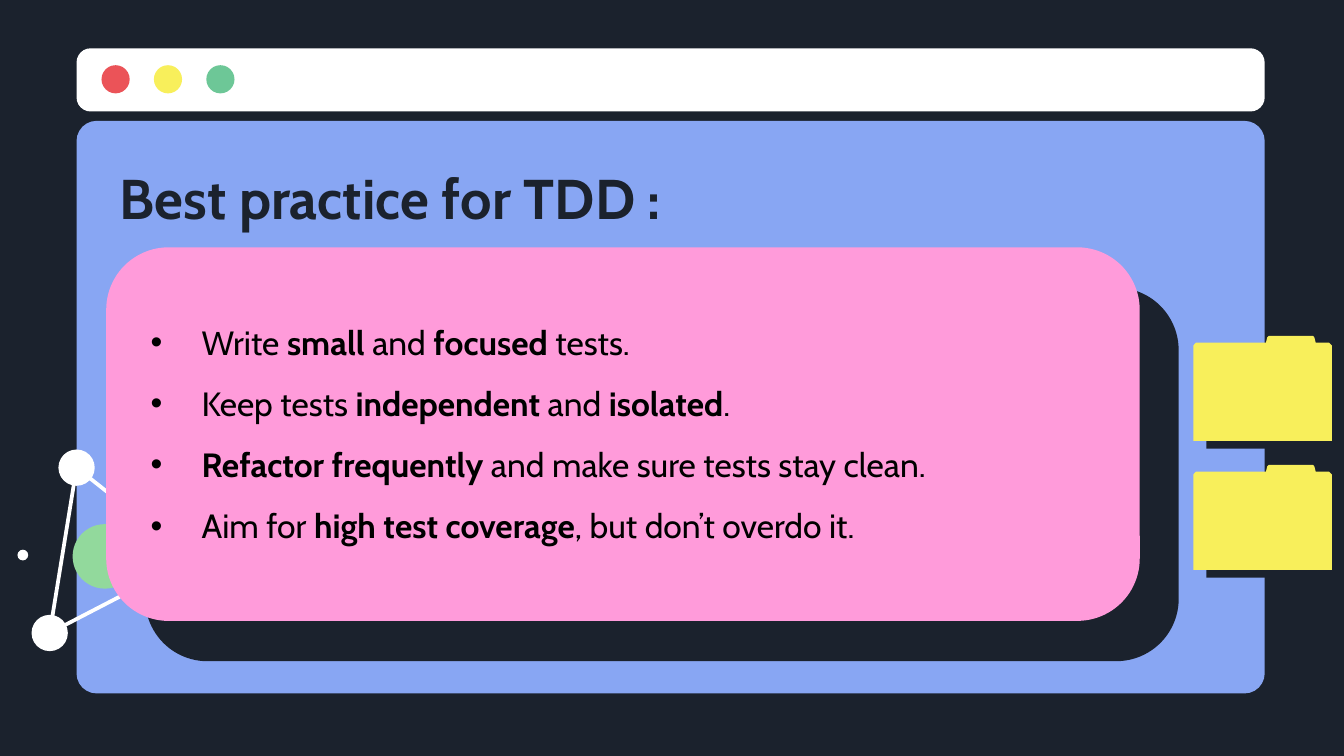
"""Build the slide on best practice for TDD."""
from lxml.etree import SubElement as Sub
from pptx import Presentation
from pptx.dml.color import RGBColor as RGB
from pptx.enum.shapes import MSO_CONNECTOR as Conn, MSO_SHAPE as Kind
from pptx.enum.text import MSO_ANCHOR as Anchor, MSO_AUTO_SIZE as Fit, PP_ALIGN as Align
from pptx.oxml.ns import qn
from pptx.util import Inches, Pt

DARK, WHITE, BLACK = RGB(0x1B, 0x22, 0x2D), RGB(255, 255, 255), RGB(0, 0, 0)
BLUE, PINK = RGB(0x88, 0xA6, 0xF3), RGB(0xFF, 0x9B, 0xDA)
RED, YELLOW = RGB(0xEB, 0x53, 0x58), RGB(0xF8, 0xEF, 0x5B)
GREEN, LIME = RGB(0x6D, 0xC7, 0x97), RGB(0x92, 0xD9, 0x9C)
FONT = "Cabin"

TITLE = "Best practice for TDD :"
TIPS = [
    [("Write ", False), ("small", True), (" and ", False), ("focused", True), (" tests.", False)],
    [("Keep tests ", False), ("independent", True), (" and ", False), ("isolated", True), (".", False)],
    [("Refactor frequently", True), (" and make sure tests stay clean.", False)],
    [("Aim for ", False), ("high test coverage", True), (", but don’t overdo it.", False)],
]
PANELS = [(0.57, 0.9, 8.84, 4.26, 0.035, BLUE), (0.57, 0.36, 8.84, 0.47, 0.223, WHITE)]
CARDS = [(1.08, 2.14, 7.69, 2.78, 0.167, DARK), (0.79, 1.84, 7.69, 2.78, 0.167, PINK)]
LIGHTS = [RED, YELLOW, GREEN]
TOP, LOW, FAR = (0.57, 3.48), (0.37, 4.71), (1.43, 4.16)
LINKS = [(TOP, LOW), (TOP, FAR), (LOW, FAR)]
NODES = [(*TOP, 0.27), (*LOW, 0.27), (0.17, 4.13, 0.08)]
FOLDER = [(0, 0.78), (0, 0.07), (0.02, 0.05), (0.54, 0.05), (0.55, 0.01), (0.56, 0),
          (0.89, 0), (0.9, 0.01), (0.91, 0.05), (1.01, 0.05), (1.03, 0.07), (1.03, 0.78)]
FOLDERS = [(8.88, 2.5), (8.88, 3.46)]


def paint(shape, color):
    shape.shadow.inherit = False
    shape.fill.solid()
    shape.fill.fore_color.rgb = color
    shape.line.fill.background()


def panel(x, y, w, h, curve, color):
    box = shapes.add_shape(Kind.ROUNDED_RECTANGLE, *map(Inches, (x, y, w, h)))
    box.adjustments[0] = curve
    paint(box, color)


def disc(x, y, size, color):
    area = map(Inches, (x - size / 2, y - size / 2, size, size))
    paint(shapes.add_shape(Kind.OVAL, *area), color)


def link(start, end):
    line = shapes.add_connector(Conn.STRAIGHT, *map(Inches, start + end))
    line.line.color.rgb = WHITE
    line.line.width = Pt(2)
    Sub(line.element.spPr, qn("a:effectLst"))


def folder(left, top):
    points = [(Inches(left + x), Inches(top + y)) for x, y in FOLDER]
    pen = shapes.build_freeform(*points[0])
    pen.add_line_segments(points[1:])
    shape = pen.convert_to_shape()
    paint(shape, YELLOW)
    effects = shape.element.spPr.find(qn("a:effectLst"))
    shade = Sub(effects, qn("a:outerShdw"), blurRad="0", dist=str(Pt(8.2)),
                dir=str(31 * 60000), algn="bl", rotWithShape="0")
    Sub(shade, qn("a:srgbClr"), val=str(DARK))


def place(holder, area, anchor):
    shapes.element.append(holder.element)
    holder.left, holder.top, holder.width, holder.height = map(Inches, area)
    frame = holder.text_frame
    frame.word_wrap, frame.auto_size, frame.vertical_anchor = True, Fit.NONE, anchor
    frame.margin_left = frame.margin_right = Inches(0.1)
    frame.margin_top = frame.margin_bottom = Inches(0.1)
    return frame


def style(run, size, color, bold):
    font = run.font
    font.name, font.size, font.bold = FONT, Pt(size), bold
    font.color.rgb = color


def bullet(para):
    para.alignment = Align.LEFT
    para.line_spacing, para.space_before, para.space_after = 1.15, Pt(0), Pt(8)
    props = para._p.get_or_add_pPr()
    props.set("marL", str(Inches(0.38)))
    props.set("indent", str(Inches(-0.38)))
    Sub(Sub(props, qn("a:buClr")), qn("a:srgbClr"), val=str(BLACK))
    Sub(props, qn("a:buFont"), typeface="Arial")
    Sub(props, qn("a:buChar"), char="•")


deck = Presentation()
deck.slide_width = Inches(10)
deck.slide_height = deck.slide_width * 9 // 16
slide = deck.slides.add_slide(deck.slide_layouts[1])
shapes = slide.shapes
slide.background.fill.solid()
slide.background.fill.fore_color.rgb = DARK

for item in PANELS:
    panel(*item)
for i, color in enumerate(LIGHTS):
    disc(0.86 + i * 0.39, 0.59, 0.21, color)
disc(0.78, 4.14, 0.48, LIME)
for ends in LINKS:
    link(*ends)
for node in NODES:
    disc(*node, WHITE)
for item in CARDS:
    panel(*item)

head = place(shapes.title, (0.79, 1.06, 7.99, 0.81), Anchor.MIDDLE)
head.text = TITLE
head.paragraphs[0].alignment = Align.LEFT
style(head.paragraphs[0].runs[0], 30, DARK, True)

for spot in FOLDERS:
    folder(*spot)

body = place(slide.placeholders[1], (1.02, 1.99, 6.85, 2.17), Anchor.BOTTOM)
for i, tip in enumerate(TIPS):
    para = body.add_paragraph() if i else body.paragraphs[0]
    bullet(para)
    for text, bold in tip:
        run = para.add_run()
        run.text = text
        style(run, 18, BLACK, bold)

deck.save("out.pptx")
